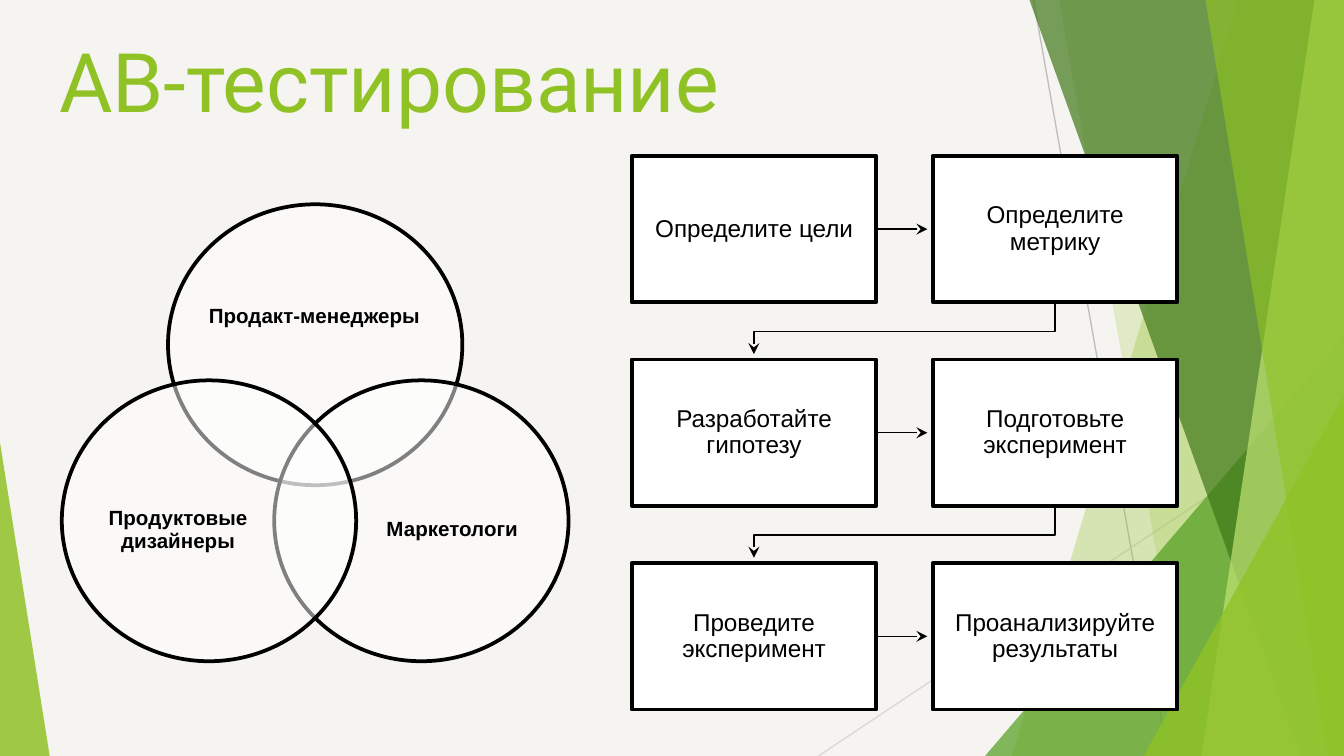
from lxml.etree import SubElement
from pptx import Presentation
from pptx.dml.color import RGBColor
from pptx.enum.shapes import MSO_CONNECTOR, MSO_SHAPE
from pptx.enum.text import MSO_ANCHOR, MSO_AUTO_SIZE, PP_ALIGN
from pptx.oxml.ns import qn
from pptx.util import Inches, Pt

BLACK = RGBColor(0x00, 0x00, 0x00)
WHITE = RGBColor(0xFF, 0xFF, 0xFF)
PAPER = RGBColor(0xF5, 0xF4, 0xF0)
SILVER = RGBColor(0xBF, 0xBF, 0xBF)
MIST = RGBColor(0xD9, 0xD9, 0xD9)
LIME = RGBColor(0x90, 0xC2, 0x26)
GREEN = RGBColor(0x54, 0xA0, 0x21)
FOREST = RGBColor(0x3F, 0x78, 0x19)
PALE = RGBColor(0xC0, 0xE4, 0x74)

RIGHT, BOTTOM = 100, 56.25
BANDS = [
    (92.1, 75.3, LIME, 30), (78.8, 88.7, LIME, 20),
    (76.6, 96.8, FOREST, 70), (97.8, 89.4, PALE, 70),
    (89.7, 98.8, LIME, 65),
]
CIRCLES = [
    ((12.5, 15.2), (15.4, 18.9, 16, 9.4), "Продакт-менеджеры"),
    ((20.4, 28.3), (27.1, 33.7, 13.1, 11.5), "Маркетологи"),
    ((4.6, 28.3), (6.7, 33.7, 13.1, 11.5), "Продуктовые дизайнеры"),
]
STEPS = [
    ("Определите цели", "Определите метрику"),
    ("Разработайте гипотезу", "Подготовьте эксперимент"),
    ("Проведите эксперимент", "Проанализируйте результаты"),
]


class Deck:
    """Slide builder on a square grid with a hundred columns."""

    def __init__(self):
        """Open a title-only slide."""
        self.show = Presentation()
        self.show.slide_width = Inches(10)
        self.show.slide_height = Inches(5.625)
        self.cell = self.show.slide_width / RIGHT
        self.slide = self.show.slides.add_slide(self.show.slide_layouts[5])
        self.shapes = self.slide.shapes
        fill = self.slide.background.fill
        fill.solid()
        fill.fore_color.rgb = PAPER

    def grid(self, *spans):
        """Turn grid spans into lengths."""
        return [round(span * self.cell) for span in spans]

    def paint(self, shape, color=None, alpha=100, edge=None, width=2):
        """Set the fill and outline of a shape."""
        shape.shadow.inherit = False
        if color is None:
            shape.fill.background()
        else:
            shape.fill.solid()
            shape.fill.fore_color.rgb = color
            if alpha < 100:
                tint = shape.element.spPr.find(qn("a:solidFill")).find(qn("a:srgbClr"))
                SubElement(tint, qn("a:alpha"), val=str(alpha * 1000))
        if edge is None:
            shape.line.fill.background()
        else:
            shape.line.color.rgb = edge
            shape.line.width = Pt(width)

    def letter(self, shape, text, size, pad=0.0, color=BLACK, bold=False, face="Arial",
               align=PP_ALIGN.CENTER, anchor=MSO_ANCHOR.MIDDLE, space=0.9):
        """Put styled text into a shape."""
        frame = shape.text_frame
        frame.text = text
        look = {"word_wrap": True, "auto_size": MSO_AUTO_SIZE.NONE, "vertical_anchor": anchor}
        look.update({f"margin_{side}": Inches(pad) for side in ("left", "top", "right", "bottom")})
        para = frame.paragraphs[0]
        styles = [
            (frame, look),
            (para, {"alignment": align, "line_spacing": space}),
            (para.runs[0].font, {"name": face, "size": Pt(size), "bold": bold}),
        ]
        for part, values in styles:
            for name, value in values.items():
                setattr(part, name, value)
        para.runs[0].font.color.rgb = color

    def title(self, text, *area):
        """Format the title and bring it forward."""
        title = self.shapes.title
        title.left, title.top, title.width, title.height = self.grid(*area)
        self.letter(title, text, 44, 0.1, LIME, face="Roboto",
                    align=PP_ALIGN.LEFT, anchor=MSO_ANCHOR.BOTTOM, space=1.0)
        title.element.getparent().append(title.element)

    def shape(self, kind, area, **look):
        """Add a preset shape."""
        shape = self.shapes.add_shape(kind, *self.grid(*area))
        self.paint(shape, **look)
        return shape

    def wedge(self, area, apex, color, alpha):
        """Add a triangle with its apex at one side."""
        shape = self.shape(MSO_SHAPE.ISOSCELES_TRIANGLE, area, color=color, alpha=alpha)
        shape.adjustments[0] = apex

    def outline(self, points, close=True, **look):
        """Add a freeform through the points."""
        first, *rest = [self.grid(*point) for point in points]
        pen = self.shapes.build_freeform(*first)
        pen.add_line_segments(rest, close=close)
        shape = pen.convert_to_shape()
        self.paint(shape, **look)
        return shape

    def line(self, ends, color):
        """Add a thin straight line."""
        line = self.shapes.add_connector(MSO_CONNECTOR.STRAIGHT, *self.grid(*ends))
        line.line.color.rgb = color
        line.line.width = Pt(0.75)
        SubElement(line.element.spPr, qn("a:effectLst"))
        return line

    def tip(self, shape):
        """Put an arrowhead at the end of a line."""
        SubElement(shape.element.spPr.find(qn("a:ln")), qn("a:tailEnd"), type="stealth")

    def label(self, area, text):
        """Add a bold caption."""
        self.letter(self.shapes.add_textbox(*self.grid(*area)), text, 11, bold=True)


def decor(deck):
    """Draw the green backdrop."""
    deck.line((76.9, 0, 86.9, BOTTOM), SILVER)
    deck.line((RIGHT, 30.2, 60.9, BOTTOM), MIST)
    for spot, (top, foot, color, alpha) in enumerate(BANDS):
        if spot == 2:
            deck.wedge((73.3, 25, 26.7, 31.25), 1, GREEN, 72)
        corners = [(top, 0), (RIGHT, 0), (RIGHT, BOTTOM), (foot, BOTTOM)]
        deck.outline(corners, color=color, alpha=alpha)
    deck.wedge((85.1, 29.4, 14.9, 26.85), 1, LIME, 80)
    deck.wedge((0, 32.9, 3.7, 23.35), 0, LIME, 85)


def venn(deck):
    """Draw the three overlapping teams."""
    for spot, area, text in CIRCLES:
        deck.shape(MSO_SHAPE.OVAL, (*spot, 21.9, 20.9), color=WHITE, alpha=50, edge=BLACK)
        deck.label(area, text)


def flow(deck):
    """Draw the steps and the arrows between them."""
    left, top, wide, high = 47, 11.6, 18.2, 10.9
    across, down = 22.4, 15.15
    near, far = left + wide / 2, left + across + wide / 2
    for row, pair in enumerate(STEPS):
        y = top + row * down
        foot, mid = y + high, y + high / 2
        deck.tip(deck.line((left + wide, mid, left + across - 0.4, mid), BLACK))
        if row < len(STEPS) - 1:
            turn = foot + 2.15
            bend = [(far, foot), (far, turn), (near, turn), (near, y + down - 0.4)]
            deck.tip(deck.outline(bend, close=False, edge=BLACK, width=0.75))
        for col, text in enumerate(pair):
            area = (left + col * across, y, wide, high)
            box = deck.shape(MSO_SHAPE.RECTANGLE, area, color=WHITE, edge=BLACK)
            deck.letter(box, text, 13, 0.1)


def main():
    """Build and save the slide."""
    deck = Deck()
    decor(deck)
    deck.title("AB-тестирование", 3.4, 2.1, 93.2, 8.5)
    venn(deck)
    flow(deck)
    deck.show.save("out.pptx")


if __name__ == "__main__":
    main()
